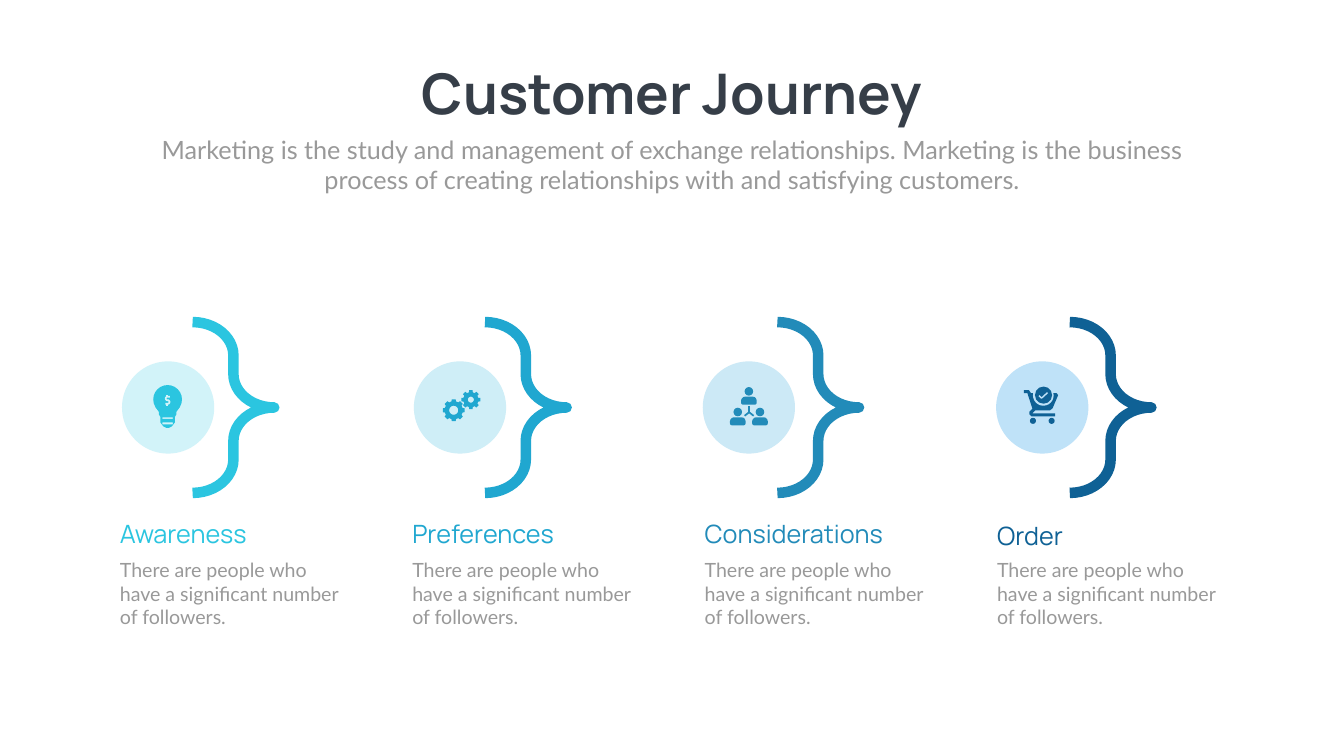
import math

from pptx import Presentation
from pptx import util as u
from pptx.dml.color import RGBColor
from pptx.enum import shapes, text

COLORS = {
    "title": "363E48", "body": "999999",
    "awareness": "2BC5E0", "awareness_disc": "D2F3F9",
    "preferences": "20A7D0", "preferences_disc": "CFEEF7",
    "considerations": "228BB9", "considerations_disc": "CCE9F6",
    "order": "0F6195", "order_disc": "BFE2F8",
}
SHAPE = shapes.MSO_SHAPE

prs = Presentation()
prs.slide_width, prs.slide_height = u.Inches(26.66), u.Inches(15)
s = prs.slides.add_slide(prs.slide_layouts[6])


def add_preset(kind, x, y, w, h, fill=None):
    """Add an unlined preset shape; without a fill colour it stays hollow."""
    sp = s.shapes.add_shape(kind, *(u.Inches(v) for v in (x, y, w, h)))
    sp.shadow.inherit = False
    sp.line.fill.background()
    if fill:
        sp.fill.solid()
        sp.fill.fore_color.rgb = RGBColor.from_string(COLORS[fill])
    else:
        sp.fill.background()
    return sp


def add_outline(contours, color, stroke=None):
    """Fill closed contours (inner ones are holes), or draw open ones with a stroke in points."""
    builder = None
    for contour in contours:
        pts = [(u.Inches(x), u.Inches(y)) for x, y in contour]
        if builder is None:
            builder = s.shapes.build_freeform(*pts[0])
        else:
            builder.move_to(*pts[0])
        builder.add_line_segments(pts[1:], close=stroke is None)
    sp = builder.convert_to_shape()
    sp.shadow.inherit = False
    rgb = RGBColor.from_string(COLORS[color])
    if stroke:
        sp.fill.background()
        sp.line.color.rgb = rgb
        sp.line.width = u.Pt(stroke)
    else:
        sp.fill.solid()
        sp.fill.fore_color.rgb = rgb
        sp.line.fill.background()


# Texts: left, top, width, height, wording, font, size, colour, bold, centred
texts = [
    (7.85, 1.12, 10.96, 1.45, "Customer Journey", "Manrope", 80, "title", True, True),
    (2.92, 2.61, 20.82, 1.31,
     "Marketing is the study and management of exchange relationships. Marketing is the "
     "business process of creating relationships with and satisfying customers.",
     "Lato", 36, "body", False, True),
]

# Stages: name, disc left, heading top, heading width
stages = [
    ("Awareness", 2.42, 10.24, 3.76),
    ("Preferences", 8.21, 10.24, 3.76),
    ("Considerations", 13.94, 10.24, 4.46),
    ("Order", 19.76, 10.28, 3.76),
]
for i, (name, disc_x, head_y, head_w) in enumerate(stages):
    x = 2.28 + 5.8 * i
    color = name.lower()
    brace = add_preset(SHAPE.RIGHT_BRACE, x + 1.54, 6.39, 1.62, 3.39)
    brace.adjustments[0], brace.adjustments[1] = 0.409, 0.5
    brace.line.color.rgb = RGBColor.from_string(COLORS[color])
    brace.line.width = u.Pt(15)
    add_preset(SHAPE.OVAL, disc_x, 7.17, 1.83, 1.83, color + "_disc")
    texts += [
        (x, head_y, head_w, 0.71, name, "Manrope", 36, color, False, False),
        (x, 11.02, 4.7, 1.51, "There are people who have a significant number of followers.",
         "Lato", 28, "body", False, False),
    ]

for x, y, w, h, words, font, size, color, bold, centred in texts:
    tf = s.shapes.add_textbox(*(u.Inches(v) for v in (x, y, w, h))).text_frame
    tf.word_wrap = True
    p = tf.paragraphs[0]
    p.alignment = text.PP_ALIGN.CENTER if centred else text.PP_ALIGN.LEFT
    r = p.add_run()
    r.text = words
    r.font.name, r.font.size, r.font.bold = font, u.Pt(size), bold
    r.font.color.rgb = RGBColor.from_string(COLORS[color])

# Light bulb with a dollar sign
add_preset(SHAPE.OVAL, 3.04, 7.64, 0.57, 0.57, "awareness")
socket = [(3.08, 8.07), (3.57, 8.07), (3.5, 8.17), (3.5, 8.22), (3.47, 8.27),
          (3.47, 8.38), (3.41, 8.46), (3.35, 8.49), (3.3, 8.49), (3.24, 8.46),
          (3.18, 8.38), (3.18, 8.27), (3.15, 8.22), (3.15, 8.17)]
slits = [[(3.22, y), (3.43, y), (3.43, y + h), (3.22, y + h)]
         for y, h in ((8.28, 0.03), (8.38, 0.04))]
add_outline([socket] + slits, "awareness")
dollar = [(3.37, 7.87), (3.31, 7.87), (3.29, 7.89), (3.29, 7.92), (3.31, 7.94),
          (3.34, 7.94), (3.36, 7.96), (3.36, 7.99), (3.34, 8.01), (3.28, 8.01)]
add_outline([dollar, [(3.32, 7.84), (3.32, 7.87)], [(3.32, 8.01), (3.32, 8.05)]],
            "awareness_disc", 2.5)

# Two gears: centre, outer, root and hole radius, turn in degrees
for cx, cy, outer, root, hole, turn in ((9, 8.14, 0.22, 0.18, 0.09, 0),
                                        (9.34, 7.93, 0.19, 0.15, 0.06, 0)):
    rim = []
    for tooth in range(8):
        for offset, radius in ((-15, root), (-10, outer), (10, outer), (15, root)):
            a = math.radians(turn + 45 * tooth + offset)
            rim.append((cx + radius * math.cos(a), cy + radius * math.sin(a)))
    bore = [(cx + hole * math.cos(math.radians(d)), cy + hole * math.sin(math.radians(d)))
            for d in range(0, 360, 15)]
    add_outline([rim, bore], "preferences")

# Three linked people: left and top of each head
for x, y in ((14.77, 7.68), (14.55, 8.09), (14.99, 8.09)):
    add_preset(SHAPE.OVAL, x, y, 0.17, 0.17, "considerations")
    body = add_preset(SHAPE.ROUND_2_SAME_RECTANGLE, x - 0.07, y + 0.19, 0.31, 0.16,
                      "considerations")
    body.adjustments[0], body.adjustments[1] = 0.5, 0.25
hub = (14.86, 8.18)
add_outline([[hub, end] for end in ((14.86, 8.06), (14.77, 8.25), (14.95, 8.25))],
            "considerations", 2.5)

# Shopping cart with a check mark
cart = [(20.31, 7.74), (20.41, 7.74), (20.45, 7.8), (20.96, 7.8), (20.99, 7.84),
        (20.88, 8.1), (20.83, 8.14), (20.54, 8.14), (20.48, 8.2), (20.93, 8.2),
        (20.93, 8.26), (20.46, 8.26), (20.42, 8.22), (20.42, 8.17), (20.48, 8.11),
        (20.38, 7.8), (20.31, 7.8)]
add_outline([cart], "order")
for x in (20.43, 20.8):
    add_preset(SHAPE.OVAL, x, 8.29, 0.12, 0.12, "order")
add_preset(SHAPE.OVAL, 20.49, 7.64, 0.41, 0.41, "order_disc")
add_preset(SHAPE.OVAL, 20.53, 7.67, 0.34, 0.34, "order")
add_outline([[(20.61, 7.85), (20.66, 7.9), (20.78, 7.79)]], "order_disc", 2)

prs.save("out.pptx")
